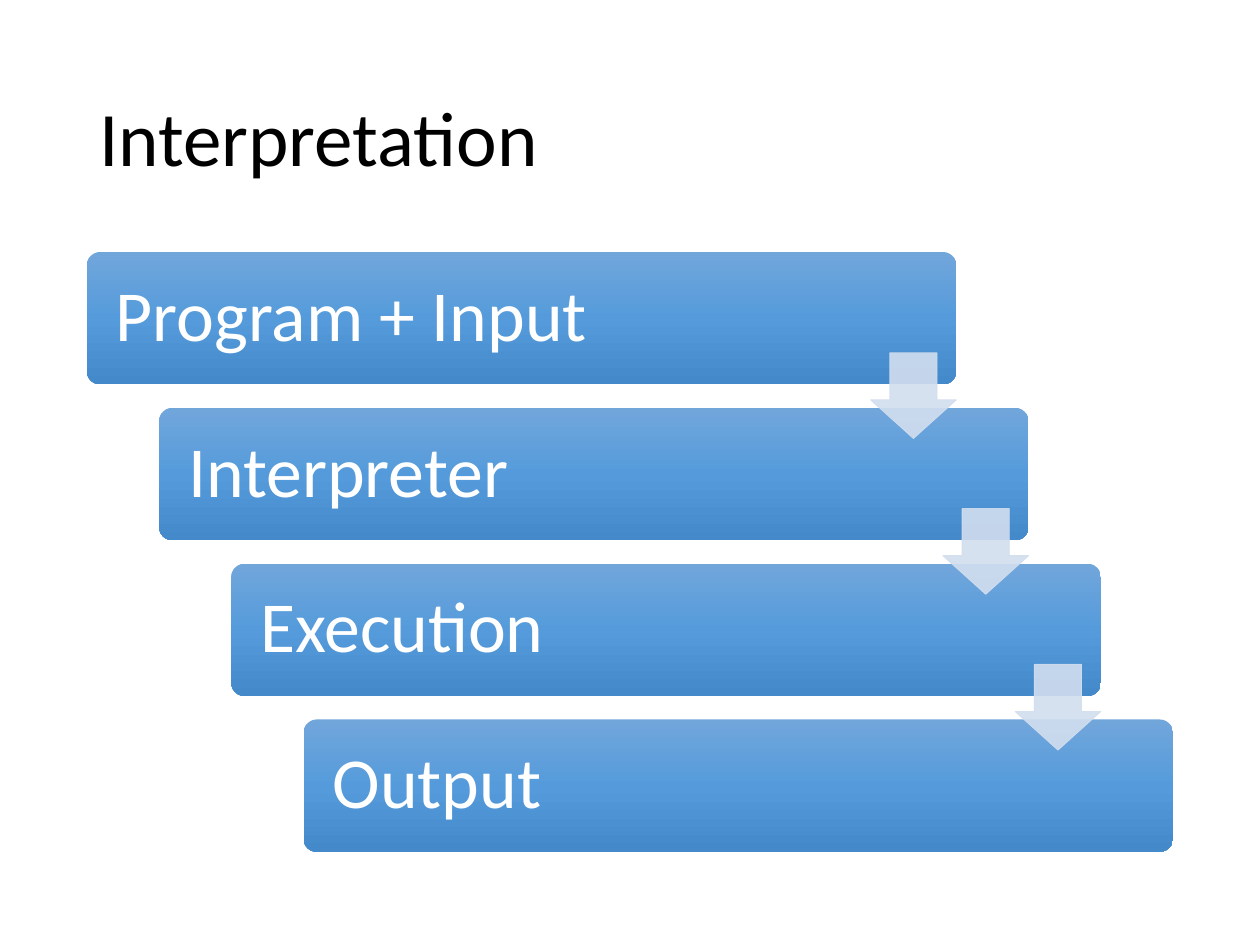
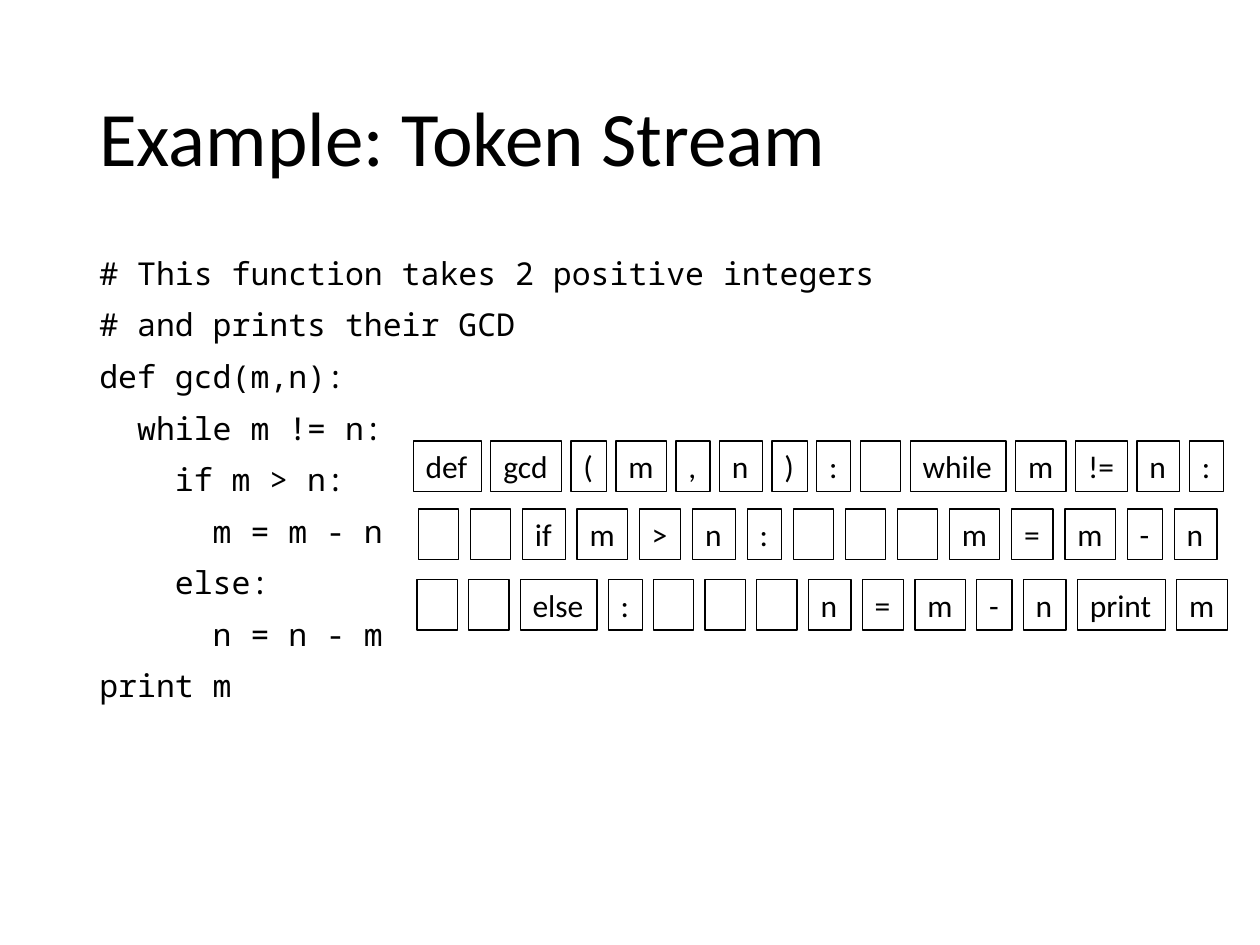
"""Build two slides: the steps of interpretation and a token stream."""
from copy import deepcopy
from lxml import etree
from pptx import Presentation
from pptx import util as u
from pptx.dml.color import RGBColor
from pptx.enum import shapes, text
from pptx.oxml.ns import qn

HUES = {"ink": "000000", "white": "FFFFFF", "top": "71A6DB",
        "mid": "559BDB", "low": "448ACA", "arrow": "D2DEEF"}
FONTS = {
    "title": {"name": "Calibri", "size": u.Pt(44), "hue": "ink"},
    "step": {"name": "Calibri", "size": u.Pt(41), "hue": "white"},
    "code": {"name": "Noto Sans Mono", "size": u.Pt(18), "hue": "ink"},
    "token": {"name": "Calibri", "size": u.Pt(18), "hue": "ink"},
}
MID = {"vertical_anchor": text.MSO_ANCHOR.MIDDLE, "word_wrap": True}
TOP = {"vertical_anchor": text.MSO_ANCHOR.TOP, "word_wrap": True}
SNUG = {"vertical_anchor": text.MSO_ANCHOR.TOP, "word_wrap": False,
        "auto_size": text.MSO_AUTO_SIZE.SHAPE_TO_FIT_TEXT}
TIGHT = {"line_spacing": 0.9}

TITLES = ["Interpretation", "Example: Token Stream"]
STEPS = ["Program + Input", "Interpreter", "Execution", "Output"]
CODE = [
    "# This function takes 2 positive integers",
    "# and prints their GCD",
    "def gcd(m,n):",
    "  while m != n:",
    "    if m > n:",
    "      m = m - n",
    "    else:",
    "      n = n - m",
    "print m",
]
ROWS = [
    (3.28, 9.71, 3.5, ["def", "gcd", "(", "m", ",", "n", ")", ":", "",
                       "while", "m", "!=", "n", ":"]),
    (3.32, 9.66, 4.04, ["", "", "if", "m", ">", "n", ":", "", "", "",
                        "m", "=", "m", "-", "n"]),
    (3.31, 9.74, 4.6, ["", "", "else", ":", "", "", "", "n", "=", "m",
                       "-", "n", "print", "m"]),
]
WIDE = {"": 0.32, "def": 0.54, "gcd": 0.56, "while": 0.76, "else": 0.61,
        "print": 0.7, "if": 0.34, "m": 0.4, "n": 0.34, "!=": 0.41,
        "=": 0.33, ">": 0.33, "(": 0.28, ")": 0.28, "-": 0.28,
        ",": 0.27, ":": 0.27}

LEFT, RIGHT = 0.69, 9.31
STEP_TOP, STEP_END = 2, 6.76
STEP_W, STEP_H = 6.9, 1.05
ARROW_X, ARROW_Y, ARROW = 6.22, 0.8, 0.68
TOKEN_H = 0.4


def color(key):
    return RGBColor.from_string(HUES[key])


def assign(item, values):
    for name, value in values.items():
        setattr(item, name, value)


def write(shape, lines, font, frame, para=None, gap=0):
    """Fill a shape with styled lines, with a gap before all but the first."""
    box = shape.text_frame
    assign(box, frame)
    for i, line in enumerate(lines):
        part = box.paragraphs[0] if i == 0 else box.add_paragraph()
        part.alignment = text.PP_ALIGN.LEFT
        assign(part, para or {})
        if i:
            part.space_before = u.Pt(gap)
        run = part.add_run()
        run.text = line
        style = dict(FONTS[font])
        run.font.color.rgb = color(style.pop("hue"))
        assign(run.font, style)


def place(slide, kind, *area):
    shape = slide.shapes.add_shape(kind, *map(u.Inches, area))
    shape.shadow.inherit = False
    return shape


def label(slide, area, *args, **more):
    write(slide.shapes.add_textbox(*map(u.Inches, area)), *args, **more)


def shade(shape):
    """Give a shape the three-stop blue gradient from top to bottom."""
    fill = shape.fill
    fill.gradient()
    fill.gradient_angle = 270
    stops = shape.element.spPr.find(".//" + qn("a:gsLst"))
    stops.insert(1, deepcopy(stops[0]))
    for stop, key, pos in zip(fill.gradient_stops, ("top", "mid", "low"),
                              (0, 0.5, 1)):
        stop.color.rgb = color(key)
        stop.position = pos
    shape.line.fill.background()


def draw_steps(slide):
    count = len(STEPS) - 1
    dx = (RIGHT - LEFT - STEP_W) / count
    dy = (STEP_END - STEP_TOP - STEP_H) / count
    spots = [(LEFT + i * dx, STEP_TOP + i * dy) for i in range(count + 1)]
    for name, (x, y) in zip(STEPS, spots):
        bar = place(slide, shapes.MSO_SHAPE.ROUNDED_RECTANGLE,
                    x, y, STEP_W, STEP_H)
        bar.adjustments[0] = 0.1
        shade(bar)
        write(bar, [name], "step", {**MID, "margin_left": u.Inches(0.2)}, TIGHT)
    for x, y in spots[:-1]:
        arrow = place(slide, shapes.MSO_SHAPE.DOWN_ARROW,
                      x + ARROW_X, y + ARROW_Y, ARROW, ARROW)
        arrow.adjustments[0], arrow.adjustments[1] = 0.55, 0.45
        arrow.line.width = u.Pt(0.5)
        for fill in (arrow.fill, arrow.line.fill):
            fill.solid()
            fill.fore_color.rgb = color("arrow")
        for node in arrow.element.spPr.iter(qn("a:srgbClr")):
            etree.SubElement(node, qn("a:alpha"), val="90000")


def draw_tokens(slide):
    for x, end, y, row in ROWS:
        gap = (end - x - sum(WIDE[word] for word in row)) / (len(row) - 1)
        for word in row:
            cell = place(slide, shapes.MSO_SHAPE.RECTANGLE,
                         x, y, WIDE[word], TOKEN_H)
            cell.fill.background()
            cell.line.color.rgb = color("ink")
            cell.line.width = u.Pt(0.75)
            if word:
                write(cell, [word], "token", SNUG)
            x += WIDE[word] + gap


def main():
    deck = Presentation()
    deck.slide_width, deck.slide_height = u.Inches(10), u.Inches(7.5)
    first, second = [deck.slides.add_slide(deck.slide_layouts[6])
                     for _ in TITLES]
    for slide, title in zip((first, second), TITLES):
        label(slide, (LEFT, 0.4, RIGHT - LEFT, 1.45), [title], "title",
              MID, TIGHT)
    draw_steps(first)
    label(second, (LEFT, 2, 9.17, 3.75), CODE, "code", TOP, TIGHT, gap=10)
    draw_tokens(second)
    deck.save("out.pptx")


if __name__ == "__main__":
    main()
